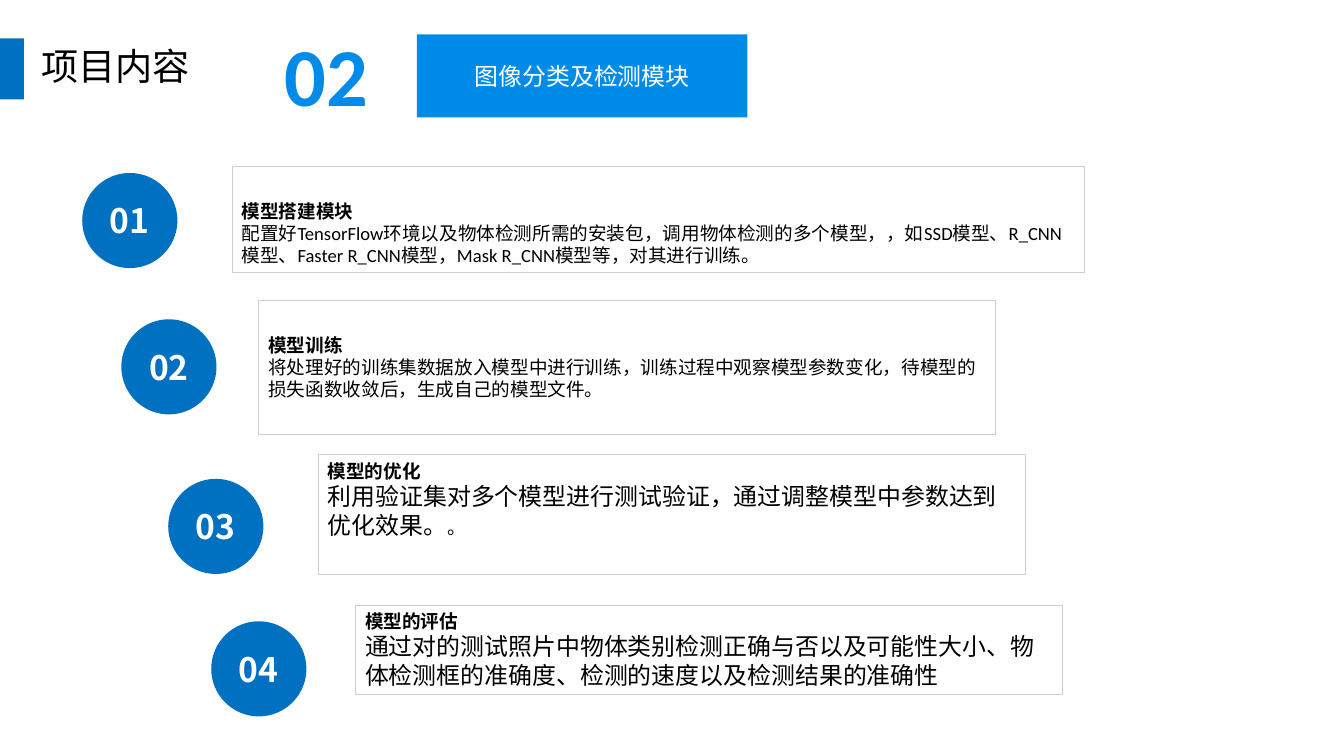
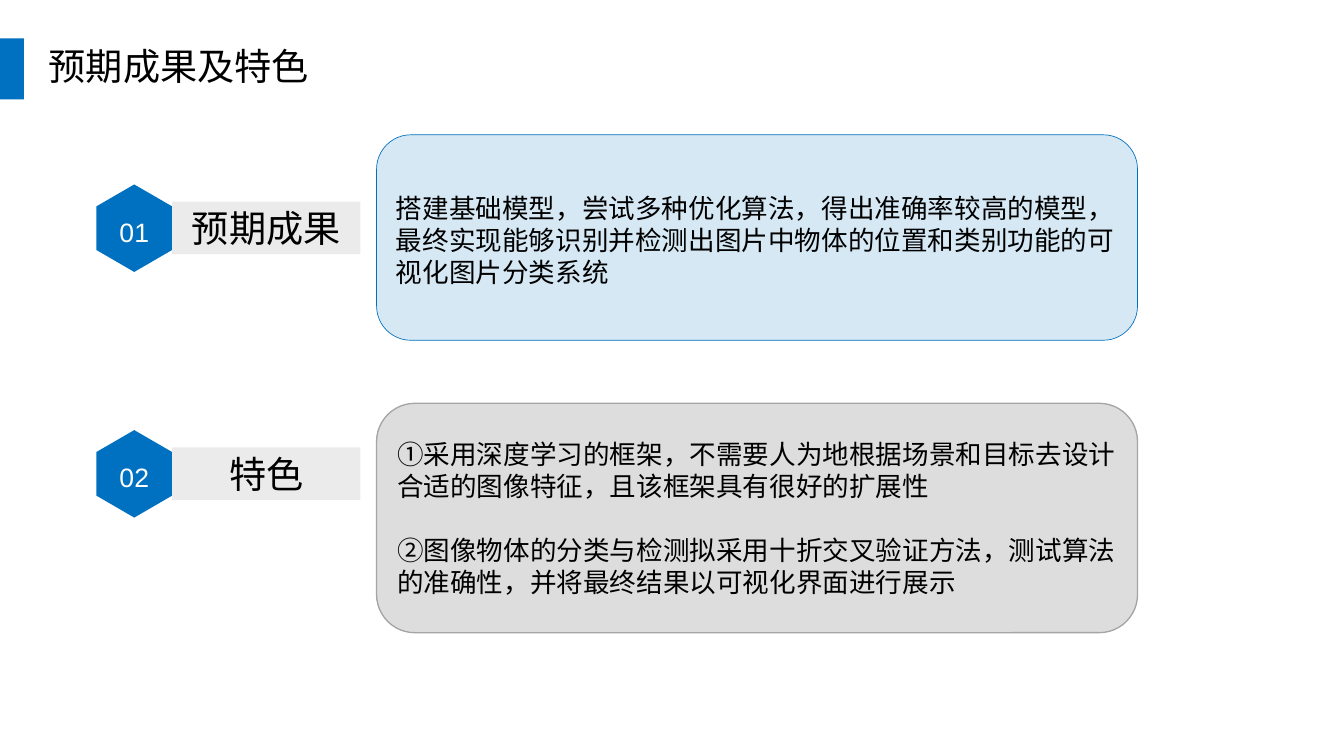
from lxml.etree import SubElement
from pptx import Presentation
from pptx.dml.color import RGBColor
from pptx.enum.shapes import MSO_SHAPE
from pptx.enum.text import MSO_ANCHOR, MSO_AUTO_SIZE, PP_ALIGN
from pptx.oxml.ns import qn
from pptx.util import Inches, Pt

BLUE = RGBColor(0x00, 0x70, 0xC0)
BRIGHT_BLUE = RGBColor(0x01, 0x8B, 0xE9)
GRAY = RGBColor(0xA5, 0xA5, 0xA5)
LABEL_GRAY = RGBColor(0xD9, 0xD9, 0xD9)
BORDER_GRAY = RGBColor(0xD0, 0xCE, 0xCE)
WHITE = RGBColor(0xFF, 0xFF, 0xFF)
BLACK = RGBColor(0x00, 0x00, 0x00)
CJK = "Noto Sans CJK SC"

deck = Presentation()
deck.slide_width = Inches(14.06)
deck.slide_height = Inches(7.91)
COLUMN = deck.slide_width / 100
ROW = deck.slide_height / 100


def add_block(slide, preset, left, top, width, height, fill=None, opacity=100, line=None, weight=1):
    block = slide.shapes.add_shape(
        preset, int(left * COLUMN), int(top * ROW), int(width * COLUMN), int(height * ROW))
    block.shadow.inherit = False
    if fill is None:
        block.fill.background()
    else:
        block.fill.solid()
        block.fill.fore_color.rgb = fill
        if opacity < 100:
            color = block.fill._xPr.find(qn("a:solidFill"))[0]
            SubElement(color, qn("a:alpha")).set("val", str(opacity * 1000))
    if line is None:
        block.line.fill.background()
    else:
        block.line.color.rgb = line
        block.line.width = Pt(weight)
    return block


def write(paragraph, text, size, font="Arial", color=BLACK, bold=False, align=PP_ALIGN.LEFT):
    paragraph.text = text
    paragraph.alignment = align
    paragraph.font.size = Pt(size)
    paragraph.font.name = font
    paragraph.font.color.rgb = color
    paragraph.font.bold = bold


pages = []
for heading, left, width, font in [("项目内容", 2.35, 16, "Arial"), ("预期成果及特色", 2.92, 24, CJK)]:
    page = deck.slides.add_slide(deck.slide_layouts[5])
    add_block(page, MSO_SHAPE.RECTANGLE, 0, 5.06, 1.78, 8.09, BLUE)
    title = page.shapes.title
    title.left, title.top = int(left * COLUMN), int(5.06 * ROW)
    title.width, title.height = int(width * COLUMN), int(7.21 * ROW)
    title.text_frame.auto_size = MSO_AUTO_SIZE.NONE
    title.text_frame.vertical_anchor = MSO_ANCHOR.TOP
    write(title.text_frame.paragraphs[0], heading, 28, font)
    pages.append(page)
content, outcomes = pages

banner = add_block(content, MSO_SHAPE.RECTANGLE, 31.01, 4.55, 24.61, 11, BRIGHT_BLUE)
write(banner.text_frame.paragraphs[0], "图像分类及检测模块", 18, color=WHITE, align=PP_ALIGN.CENTER)

section = content.shapes.add_textbox(
    int(19.13 * COLUMN), int(3.92 * ROW), int(10.31 * COLUMN), int(11.63 * ROW)).text_frame
section.word_wrap = True
section.vertical_anchor = MSO_ANCHOR.MIDDLE
section.margin_left = section.margin_right = section.margin_top = section.margin_bottom = 0
write(section.paragraphs[0], "02", 62, "Calibri", BRIGHT_BLUE, True, PP_ALIGN.CENTER)

steps = [
    ((6.12, 22.88), (17.28, 22, 63.44, 14.03), 0.35, "模型搭建模块",
     [("配置好TensorFlow环境以及物体检测所需的安装包，调用物体检测的多个模型，，如SSD模型、"
       "R_CNN模型、Faster R_CNN模型，Mask R_CNN模型等，对其进行训练。", 14)]),
    ((9.03, 42.23), (19.27, 39.7, 54.77, 17.83), 0.35, "模型训练",
     [("将处理好的训练集数据放入模型中进行训练，训练过程中观察模型参数变化，"
       "待模型的损失函数收敛后，生成自己的模型文件。", 14)]),
    ((12.52, 63.34), (23.68, 60.18, 52.63, 15.8), 0.05, "模型的优化",
     [("利用验证集对多个模型进行测试验证，通过调整模型中参数达到优化效果。", 18), ("。", 14)]),
    ((15.72, 82.18), (26.46, 80.03, 52.63, 11.88), 0.05, "模型的评估",
     [("通过对的测试照片中物体类别检测正确与否以及可能性大小、物体检测框的准确度、"
       "检测的速度以及检测结果的准确性", 18)]),
]
for number, (corner, frame, top_margin, name, details) in enumerate(steps, 1):
    circle = add_block(content, MSO_SHAPE.OVAL, *corner, 7.08, 12.58, BLUE)
    write(circle.text_frame.paragraphs[0], f"{number:02}", 25.3, CJK, WHITE, True, PP_ALIGN.CENTER)
    step = add_block(content, MSO_SHAPE.RECTANGLE, *frame, line=BORDER_GRAY, weight=0.75).text_frame
    step.vertical_anchor = MSO_ANCHOR.TOP
    step.margin_top = Inches(top_margin)
    write(step.paragraphs[0], name, 14, "Calibri", bold=True)
    description = step.add_paragraph()
    write(description, "", 14, "Calibri")
    for text, size in details:
        run = description.add_run()
        run.text = text
        run.font.size = Pt(size)

topics = [
    ("预期成果", 24.4, (17.83, 27.18), BLUE, 16, 0.5, CJK, 0.1,
     ["搭建基础模型，尝试多种优化算法，得出准确率较高的模型，"
      "最终实现能够识别并检测出图片中物体的位置和类别功能的可视化图片分类系统"]),
    ("特色", 56.89, (53.35, 30.34), GRAY, 37, 1, "Arial", 0.05,
     ["①采用深度学习的框架，不需要人为地根据场景和目标去设计合适的图像特征，且该框架具有很好的扩展性",
      "②图像物体的分类与检测拟采用十折交叉验证方法，测试算法的准确性，并将最终结果以可视化界面进行展示"]),
]
HEX_LEFT, HEX_WIDTH, HEX_HEIGHT = 7.18, 5.62, 11.57
HEX_CORNERS = [(0.5, 0), (1, 0.25), (1, 0.75), (0.5, 1), (0, 0.75), (0, 0.25)]
for number, (name, top, (panel_top, panel_height), tint, opacity, weight, font, top_margin, points) in enumerate(topics, 1):
    panel = add_block(outcomes, MSO_SHAPE.ROUNDED_RECTANGLE, 28.02, panel_top, 56.62, panel_height,
                      tint, opacity, tint, weight).text_frame
    panel.margin_top = Inches(top_margin)
    for index, point in enumerate(points):
        paragraph = panel.add_paragraph() if index else panel.paragraphs[0]
        write(paragraph, point, 20, font)
        if index:
            paragraph.space_before = Pt(24)

    corners = [(int((HEX_LEFT + x * HEX_WIDTH) * COLUMN), int((top + y * HEX_HEIGHT) * ROW))
               for x, y in HEX_CORNERS]
    outline = outcomes.shapes.build_freeform(*corners[0])
    outline.add_line_segments(corners[1:], close=True)
    hexagon = outline.convert_to_shape()
    hexagon.shadow.inherit = False
    hexagon.fill.solid()
    hexagon.fill.fore_color.rgb = BLUE
    hexagon.line.fill.background()
    hexagon.text_frame.vertical_anchor = MSO_ANCHOR.MIDDLE
    write(hexagon.text_frame.paragraphs[0], f"{number:02}", 20, color=WHITE, align=PP_ALIGN.CENTER)
    hexagon.text_frame.paragraphs[0].line_spacing = 1.2

    label = add_block(outcomes, MSO_SHAPE.RECTANGLE, HEX_LEFT + HEX_WIDTH, top + 2.28, 14.01, 6.95, LABEL_GRAY, 50)
    write(label.text_frame.paragraphs[0], name, 28, align=PP_ALIGN.CENTER)

deck.save("out.pptx")
